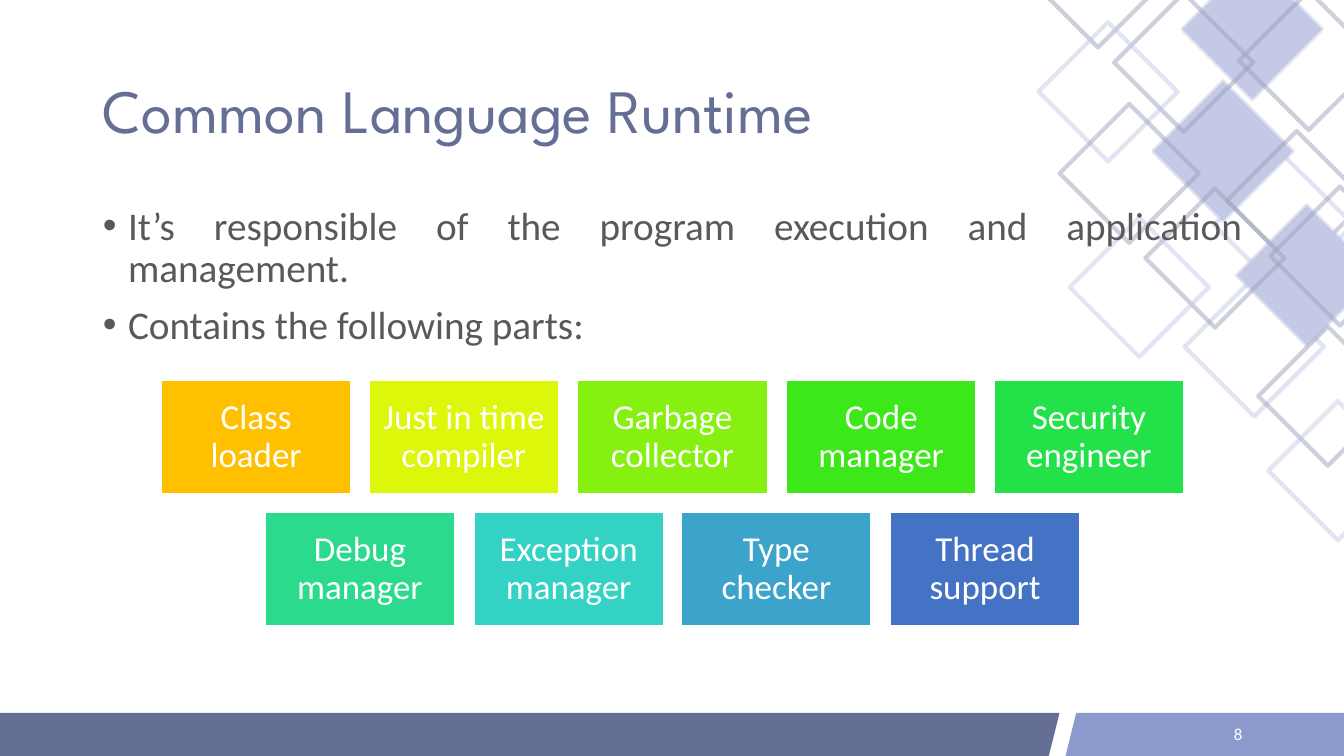
from dataclasses import dataclass

from lxml.etree import SubElement
from pptx import Presentation
from pptx.dml.color import RGBColor
from pptx.enum.shapes import MSO_AUTO_SHAPE_TYPE as Preset
from pptx.enum.text import MSO_ANCHOR as Anchor
from pptx.enum.text import MSO_AUTO_SIZE as AutoSize
from pptx.enum.text import PP_PARAGRAPH_ALIGNMENT as Align
from pptx.oxml.ns import qn
from pptx.util import Emu, Pt

EMU_PER_PX = 9144


@dataclass(frozen=True)
class Theme:
    heading_font: str = "League Spartan"
    text_font: str = "Calibri"
    title_size: int = 44
    body_size: int = 28
    tile_size: int = 25
    number_size: int = 12
    slate: str = "656E95"
    periwinkle: str = "8D9ACE"
    lavender: str = "C4CAE6"
    grey_blue: str = "9EA3BC"
    body_text: str = "595959"
    white: str = "FFFFFF"
    tiles: tuple = ("FFC000", "DCF709", "86F011", "3CE81A", "23E148",
                    "2BDA8C", "33D2C5", "3CA3CB", "4472C4")


def px(length):
    return Emu(length * EMU_PER_PX)


class SlideBuilder:
    def __init__(self, page, theme):
        self.page = page
        self.theme = theme

    def shape(self, preset, area, fill, line, weight=1, opacity=100):
        box = self.page.shapes.add_shape(preset, *map(px, area))
        box.shadow.inherit = False
        if fill:
            box.fill.solid()
            box.fill.fore_color.rgb = RGBColor.from_string(fill)
        else:
            box.fill.background()
        box.line.color.rgb = RGBColor.from_string(line)
        box.line.width = Pt(weight)
        if opacity < 100:
            colour = box.element.find(f".//{qn('a:ln')}//{qn('a:srgbClr')}")
            SubElement(colour, qn("a:alpha"), val=str(opacity * 1000))
        return box

    def frame(self, box, anchor, margins=(10, 5)):
        frame = box.text_frame
        frame.word_wrap = True
        frame.auto_size = AutoSize.NONE
        frame.vertical_anchor = anchor
        frame.margin_left = frame.margin_right = px(margins[0])
        frame.margin_top = frame.margin_bottom = px(margins[1])
        return frame

    def add_text(self, para, text, size, colour, align, font=None):
        para.alignment = align
        para.line_spacing = 0.9
        span = para.add_run()
        span.text = text
        span.font.name = font or self.theme.text_font
        span.font.size = Pt(size)
        span.font.color.rgb = RGBColor.from_string(colour)

    def placeholder(self, index, area):
        box = self.page.placeholders[index]
        box.left, box.top, box.width, box.height = map(px, area)
        box.element.getparent().append(box.element)
        return box

    def title(self, text, area):
        frame = self.frame(self.placeholder(0, area), Anchor.MIDDLE)
        self.add_text(frame.paragraphs[0], text, self.theme.title_size,
                      self.theme.slate, Align.LEFT, self.theme.heading_font)

    def bullets(self, items, area):
        frame = self.frame(self.placeholder(1, area), Anchor.TOP)
        for position, text in enumerate(items):
            para = frame.add_paragraph() if position else frame.paragraphs[0]
            self.add_text(para, text, self.theme.body_size,
                          self.theme.body_text, Align.JUSTIFY)
            para.space_before = Pt(10)
            properties = para._p.get_or_add_pPr()
            properties.set("marL", str(px(25)))
            properties.set("indent", str(px(-25)))
            SubElement(properties, qn("a:buFont"), typeface="Arial")
            SubElement(properties, qn("a:buChar"), char="•")

    def tile(self, text, colour, area):
        box = self.shape(Preset.RECTANGLE, area, colour, self.theme.white)
        frame = self.frame(box, Anchor.MIDDLE, (10, 10))
        self.add_text(frame.paragraphs[0], text, self.theme.tile_size,
                      self.theme.white, Align.CENTER)

    def page_number(self, text, area):
        box = self.page.shapes.add_textbox(*map(px, area))
        frame = self.frame(box, Anchor.MIDDLE)
        self.add_text(frame.paragraphs[0], text, self.theme.number_size,
                      self.theme.white, Align.RIGHT)

    def diamonds(self, spots, offset, filled):
        for left, top, colour, solid in spots:
            area = (left + offset[0], top + offset[1], 138, 138)
            self.shape(Preset.DIAMOND, area, colour if filled and solid else None,
                       colour, 3, 50)


def main():
    theme = Theme()
    deck = Presentation()
    deck.slide_width, deck.slide_height = px(1333), px(750)
    page = deck.slides.add_slide(deck.slide_layouts[1])
    builder = SlideBuilder(page, theme)

    for left, width, colour in ((-48, 1098, theme.slate), (1057, 294, theme.periwinkle)):
        builder.shape(Preset.PARALLELOGRAM, (left, 708, width, 44), colour, colour)

    spots = (
        (1173, -40, theme.lavender, True),
        (1229, -9, theme.grey_blue, False),
        (1144, 81, theme.lavender, True),
        (1105, -7, theme.grey_blue, False),
        (1217, 130, theme.grey_blue, False),
        (1227, 204, theme.lavender, True),
        (1020, -91, theme.grey_blue, False),
        (1030, 22, theme.lavender, False),
    )
    for offset, filled in (((0, 0), True), ((31, 194), False)):
        builder.diamonds(spots, offset, filled)

    builder.title("Common Language Runtime", (92, 40, 1150, 145))
    builder.bullets(
        ("It’s responsible of the program execution and application management.",
         "Contains the following parts:"),
        (92, 200, 1150, 491))
    builder.page_number("8", (942, 709, 300, 40))

    tile_rows = (
        (377, ("Class loader", "Just in time compiler", "Garbage collector",
               "Code manager", "Security engineer")),
        (508, ("Debug manager", "Exception manager", "Type checker",
               "Thread support")),
    )
    centre, pitch, width, height = 667, 206.5, 188, 113
    colours = iter(theme.tiles)
    for top, names in tile_rows:
        first = centre - (pitch * (len(names) - 1) + width) / 2
        for column, name in enumerate(names):
            area = (round(first + pitch * column), top, width, height)
            builder.tile(name, next(colours), area)

    deck.save("out.pptx")


if __name__ == "__main__":
    main()
